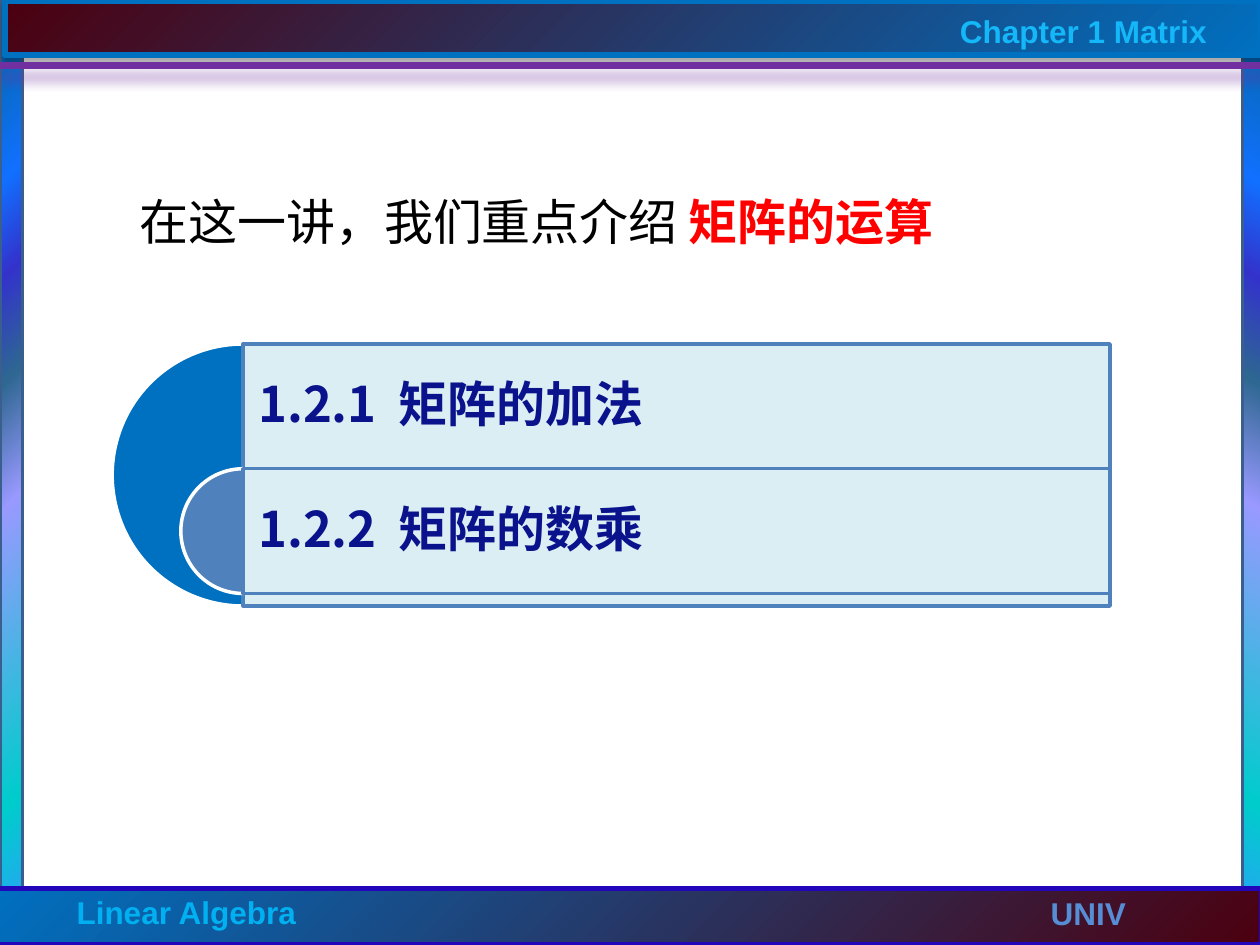
from dataclasses import dataclass
from typing import Optional

from lxml import etree
from pptx import Presentation
from pptx.dml.color import RGBColor
from pptx.enum.shapes import MSO_CONNECTOR, MSO_SHAPE
from pptx.enum.text import MSO_ANCHOR, MSO_AUTO_SIZE, PP_ALIGN
from pptx.oxml import parse_xml
from pptx.oxml.ns import qn
from pptx.util import Inches, Pt

RECT, PIE = MSO_SHAPE.RECTANGLE, MSO_SHAPE.PIE
LINE = MSO_CONNECTOR.STRAIGHT
MID, TOP = MSO_ANCHOR.MIDDLE, MSO_ANCHOR.TOP
LEFT = PP_ALIGN.LEFT
FIXED = MSO_AUTO_SIZE.NONE

COLS, ROWS = 100, 75
CELL = Inches(0.1)
NS = "http://schemas.openxmlformats.org/drawingml/2006/main"
CJK = "Noto Sans CJK SC"

COLORS = {
    "white": "FFFFFF", "black": "000000", "red": "FF0000",
    "blue": "0070C0", "steel": "4F81BD", "pale": "DBEEF4",
    "edge": "3A5F8C", "indigo": "2406BA", "purple": "7030A0",
    "sky": "00B0F0", "mist": "558ED5", "cyan": "14B7F8", "navy": "0A128C",
}
SIDE = ((0, "3399FF"), (16, "00CCCC"), (47, "9999FF"), (60, "2E6792"),
        (71, "3333CC"), (81, "1170FF"), (100, "006699"))
BAND = ((0, "0070C0"), (100, "4C000F"))
FAR = ('<a:path path="circle"><a:fillToRect l="100000" t="100000"/></a:path>')
NEAR = ('<a:path path="circle"><a:fillToRect r="100000" b="100000"/></a:path>')
TILT = '<a:lin ang="18000000" scaled="0"/>'


@dataclass
class Box:
    col: float
    row: float
    wide: float
    high: float

    def emu(self) -> list[int]:
        return [int(n * CELL) for n in (self.col, self.row, self.wide, self.high)]


@dataclass
class Bar:
    box: Box
    stops: tuple
    mode: str
    line: str
    width: float
    shade: Optional[tuple] = None


@dataclass
class Label:
    text: str
    box: Box
    color: str


BARS = [
    Bar(Box(0, 0, 1.8, ROWS), SIDE, FAR, "edge", 2),
    Bar(Box(98.6, 0.3, 1.8, ROWS), SIDE, TILT, "edge", 2),
    Bar(Box(-0.3, 70.5, 100.4, 4.5), BAND, NEAR, "indigo", 3),
    Bar(Box(0.4, 0.1, 99.6, 4.3), BAND, FAR, "blue", 3.5, ("black", 32, 3.5, 2.2)),
]
LABELS = [
    Label("Linear Algebra", Box(5.1, 70.4, 19.6, 4), "sky"),
    Label("UNIV", Box(82.4, 70.5, 11.1, 4), "mist"),
    Label("Chapter 1 Matrix", Box(75.2, 0.5, 22.5, 4), "cyan"),
]
TOPICS = ["1.2.1  矩阵的加法", "1.2.2  矩阵的数乘"]


def rgb(name: str) -> RGBColor:
    return RGBColor.from_string(COLORS[name])


def apply(item, values: dict) -> None:
    for key, value in values.items():
        setattr(item, key, value)


def shadow(shape, color: str, alpha: int, blur: float, dist: float) -> None:
    props = shape._element.spPr
    for old in props.findall(qn("a:effectLst")):
        props.remove(old)
    props.append(parse_xml(
        f'<a:effectLst xmlns:a="{NS}"><a:outerShdw blurRad="{Pt(blur)}" '
        f'dist="{Pt(dist)}" dir="5400000" rotWithShape="0">'
        f'<a:srgbClr val="{COLORS[color]}"><a:alpha val="{alpha * 1000}"/>'
        f'</a:srgbClr></a:outerShdw></a:effectLst>'))


def draw(slide, kind, box: Box, fill: str, line: str, width: float = 2):
    shape = slide.shapes.add_shape(kind, *box.emu())
    shape.shadow.inherit = False
    shape.fill.solid()
    shape.fill.fore_color.rgb = rgb(fill)
    shape.line.color.rgb = rgb(line)
    shape.line.width = Pt(width)
    return shape


def draw_bar(slide, bar: Bar) -> None:
    shape = draw(slide, RECT, bar.box, "blue", bar.line, bar.width)
    stops = "".join(f'<a:gs pos="{at * 1000}"><a:srgbClr val="{tone}"/></a:gs>'
                    for at, tone in bar.stops)
    grad = parse_xml(f'<a:gradFill xmlns:a="{NS}" rotWithShape="1">'
                     f'<a:gsLst>{stops}</a:gsLst>{bar.mode}</a:gradFill>')
    props = shape._element.spPr
    props.replace(props.find(qn("a:solidFill")), grad)
    if bar.shade:
        shadow(shape, *bar.shade)


def add_run(para, text: str, size: int, face: str, color: str, bold: bool) -> None:
    run = para.add_run()
    run.text = text
    apply(run.font, {"size": Pt(size), "name": face, "bold": bold})
    run.font.color.rgb = rgb(color)
    etree.SubElement(run._r.rPr, qn("a:ea")).set("typeface", CJK)


def frame(shape, pad_x: float, pad_y: float, wrap: bool, anchor):
    text = shape.text_frame
    apply(text, {
        "auto_size": FIXED, "word_wrap": wrap, "vertical_anchor": anchor,
        "margin_left": Inches(pad_x), "margin_right": Inches(pad_x),
        "margin_top": Inches(pad_y), "margin_bottom": Inches(pad_y),
    })
    para = text.paragraphs[0]
    para.alignment = LEFT
    return para


def draw_label(slide, label: Label) -> None:
    para = frame(slide.shapes.add_textbox(*label.box.emu()), 0.1, 0.05, False, TOP)
    add_run(para, label.text, 18, "Arial", label.color, True)


def draw_topic(slide, step: int, text: str) -> None:
    row, left, mid = 27.3 + 9.9 * step, 19.3, 9.9
    size = (20.8, mid)[step]
    pie = draw(slide, PIE, Box(left - size / 2, row, size, size),
               ("blue", "steel")[step], "white")
    pie.adjustments[0], pie.adjustments[1] = 54, 162
    panel = draw(slide, RECT, Box(left, row, 68.8, size), "pale", "steel")
    if step:
        tone = panel._element.spPr.find(qn("a:solidFill"))[0]
        etree.SubElement(tone, qn("a:alpha")).set("val", "90000")
    area = slide.shapes.add_textbox(*Box(left, row, 68.8, mid).emu())
    para = frame(area, 0.12, 0.12, True, MID)
    para.line_spacing = 0.9
    add_run(para, text, 28, CJK, "navy", True)


def draw_title(slide) -> None:
    title = slide.shapes.title
    keys = ("left", "top", "width", "height")
    apply(title, dict(zip(keys, Box(9.2, 14.7, 81.7, 5.7).emu())))
    para = frame(title, 0.1, 0.05, True, TOP)
    add_run(para, " 在这一讲，我们重点介绍 ", 28, "Arial", "black", False)
    add_run(para, "矩阵的运算", 28, CJK, "red", True)


def draw_rule(slide) -> None:
    x, y, wide, _ = Box(0, 5.2, 100.4, 0).emu()
    rule = slide.shapes.add_connector(LINE, x, y, x + wide, y)
    rule.line.color.rgb = rgb("purple")
    rule.line.width = Pt(3.75)
    shadow(rule, "purple", 50, 7, 6)


def main() -> None:
    deck = Presentation()
    apply(deck, {"slide_width": COLS * CELL, "slide_height": ROWS * CELL})
    slide = deck.slides.add_slide(deck.slide_layouts[5])
    for bar in BARS:
        draw_bar(slide, bar)
    draw_rule(slide)
    for label in LABELS:
        draw_label(slide, label)
    draw_title(slide)
    for step, text in enumerate(TOPICS):
        draw_topic(slide, step, text)
    deck.save("out.pptx")


if __name__ == "__main__":
    main()
